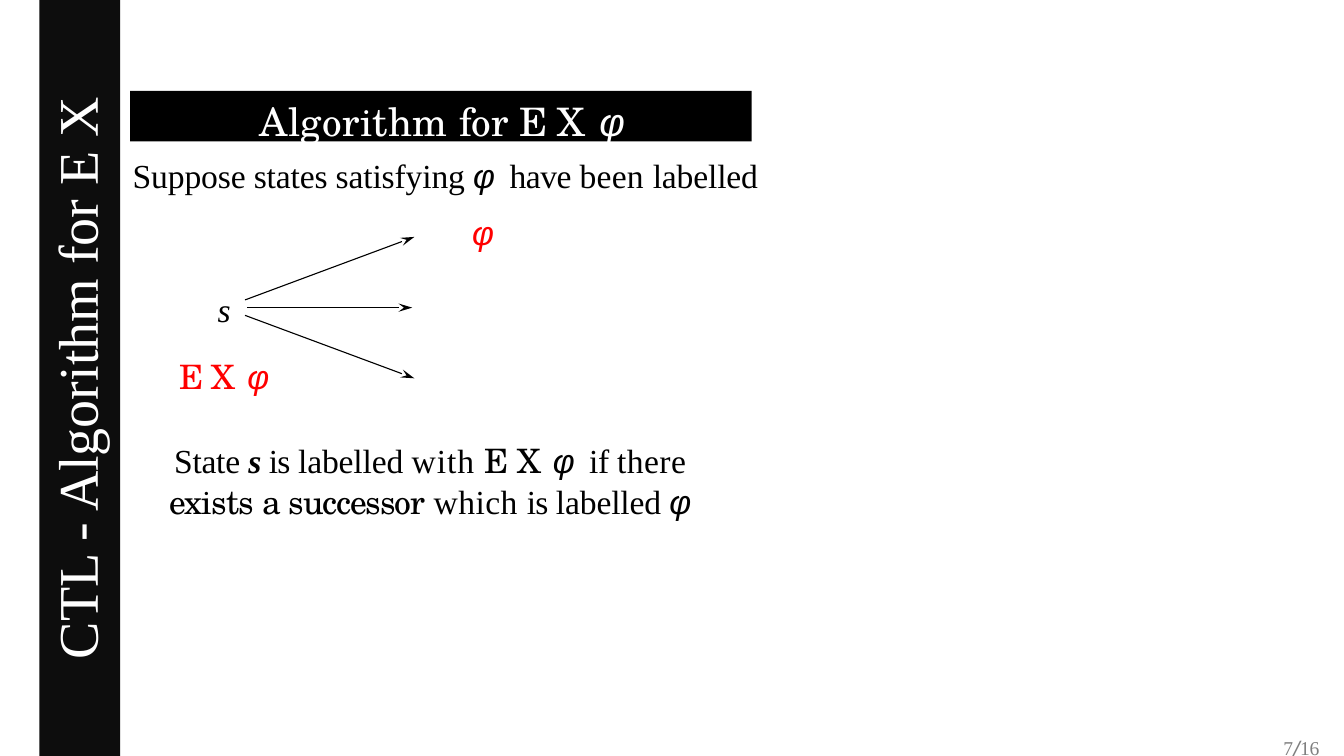
from lxml.etree import SubElement
from pptx import Presentation
from pptx.dml.color import RGBColor
from pptx.enum.shapes import MSO_CONNECTOR, MSO_SHAPE
from pptx.enum.text import MSO_ANCHOR, PP_ALIGN
from pptx.oxml.ns import qn
from pptx.util import Pt

COLORS = {"black": "000000", "white": "FFFFFF", "red": "FF0000",
          "bar": "0D0D0D", "grey": "7F7F7F"}
SERIF, SCHOLA, GREEK, SLASH = ("Times New Roman", "TeX Gyre Schola",
                               "Arial", "DejaVu Sans")


class SlideBuilder:
    """Holds the style and the current slide."""

    def __init__(self, slide):
        self.slide = slide

    def rgb(self, name):
        return RGBColor.from_string(COLORS[name])

    def fill_text(self, shape, paragraphs, size, color, align=PP_ALIGN.LEFT,
                  insets=(1.8, 4.2, 0, 0), gap=0):
        """Each run is (text, font, letter spacing, optional style "b"/"i")."""
        frame = shape.text_frame
        frame.word_wrap = True
        (frame.margin_left, frame.margin_top,
         frame.margin_right, frame.margin_bottom) = map(Pt, insets)
        frame.vertical_anchor = MSO_ANCHOR.TOP
        for index, runs in enumerate(paragraphs):
            paragraph = frame.add_paragraph() if index else frame.paragraphs[0]
            paragraph.alignment = align
            if index:
                paragraph.space_before = Pt(gap)
            for text, font, spacing, *style in runs:
                run = paragraph.add_run()
                run.text = text
                run.font.name = font
                run.font.size = Pt(size)
                run.font.bold = "b" in "".join(style)
                run.font.italic = "i" in "".join(style)
                run.font.color.rgb = self.rgb(color[index])
                run._r.get_or_add_rPr().set("spc", str(round(spacing * 100)))
        return frame

    def text(self, box, paragraphs, size, color, **options):
        shape = self.slide.shapes.add_textbox(*map(Pt, box))
        return self.fill_text(shape, paragraphs, size, color, **options)

    def panel(self, box, fill, paragraphs, size, color, rotation=0, **options):
        shape = self.slide.shapes.add_shape(MSO_SHAPE.RECTANGLE, *map(Pt, box))
        shape.shadow.inherit = False
        shape.rotation = rotation
        shape.fill.solid()
        shape.fill.fore_color.rgb = self.rgb(fill)
        shape.line.fill.background()
        return self.fill_text(shape, paragraphs, size, color, **options)

    def arrow(self, start, end):
        shaft = self.slide.shapes.add_connector(
            MSO_CONNECTOR.STRAIGHT, *map(Pt, start + end))
        shaft.line.color.rgb = self.rgb("black")
        shaft.line.width = Pt(0.8)
        properties = shaft._element.spPr
        SubElement(properties.find(qn("a:ln")), qn("a:tailEnd"),
                   type="stealth", w="med", len="lg")
        SubElement(properties, qn("a:effectLst"))


def main():
    deck = Presentation()
    deck.slide_width, deck.slide_height = Pt(960), Pt(540)
    builder = SlideBuilder(deck.slides.add_slide(deck.slide_layouts[6]))
    center = PP_ALIGN.CENTER

    # Heading
    builder.panel(
        (93, 65, 444, 36), "black",
        [[("Algorithm ", SCHOLA, 0.3), ("for ", SCHOLA, 0), ("E ", SCHOLA, -0.8),
          ("X ", SCHOLA, 1.2), ("φ", GREEK, 2.1, "i")]],
        28, ["white"], align=center)

    # Transitions from s to its successors
    middle = 219.75
    for start_x, end_x, start_dy, end_dy in (
            (175, 296, -5.5, -50.5), (176.5, 294.5, 0, 0), (175, 296, 5.5, 50.5)):
        builder.arrow((start_x, middle + start_dy), (end_x, middle + end_dy))

    # State labels
    builder.text(
        (122.4, 202.3, 75.6, 80),
        [[("s", SERIF, -2.4, "i")],
         [("E ", SCHOLA, -0.7), ("X ", SCHOLA, 0.9), ("φ", GREEK, 1.8, "i")]],
        24, ["black", "red"], align=center, insets=(0, 4.2, 0, 0), gap=19.2)
    builder.text((335.5, 147, 24.5, 31.7), [[("φ", GREEK, 1.8, "i")]],
                 24, ["red"])

    # Assumption
    builder.text(
        (93, 106.5, 495, 31.7),
        [[("Suppose states satisfying ", SERIF, -0.1), ("φ ", GREEK, 1.8, "i"),
          ("have ", SERIF, -0.3), ("been ", SERIF, 0.2),
          ("labelled", SERIF, -0.1)]],
        24, ["black"])

    # Labelling rule
    builder.text(
        (93, 310.3, 427, 60.5),
        [[("State ", SERIF, -0.2), ("s ", SERIF, -0.6, "bi"), ("is ", SERIF, -0.6),
          ("labelled ", SERIF, -0.1), ("with ", SERIF, 0.7),
          ("E ", SCHOLA, -0.7), ("X ", SCHOLA, 0.9), ("φ ", GREEK, 1.8, "i"),
          ("if ", SERIF, -0.3), ("there ", SERIF, 0.3),
          ("exists ", SCHOLA, -0.6), ("a ", SCHOLA, -1.1),
          ("successor ", SCHOLA, -0.8), ("which ", SERIF, 0.3),
          ("is ", SERIF, -0.6), ("labelled ", SERIF, -0.1),
          ("φ", GREEK, 1.8, "i")]],
        24, ["black"], align=center)

    # Page number
    builder.text(
        (915, 522.7, 36, 18),
        [[("7", SERIF, -0.3), ("/", SLASH, 0.2, "i"), ("16", SERIF, -0.3)]],
        14, ["grey"], insets=(1.8, 3.2, 0, 0))

    # Side bar
    side_bar = builder.panel(
        (-213, 241.2, 540, 57.6), "bar", [[("CTL - Algorithm for E X", SERIF, 0)]],
        40, ["white"], rotation=270, align=center, insets=(7.2, 3.6, 7.2, 3.6))
    side_bar.vertical_anchor = MSO_ANCHOR.MIDDLE
    side_bar.paragraphs[0].line_spacing = 0.9

    deck.save("out.pptx")


if __name__ == "__main__":
    main()
